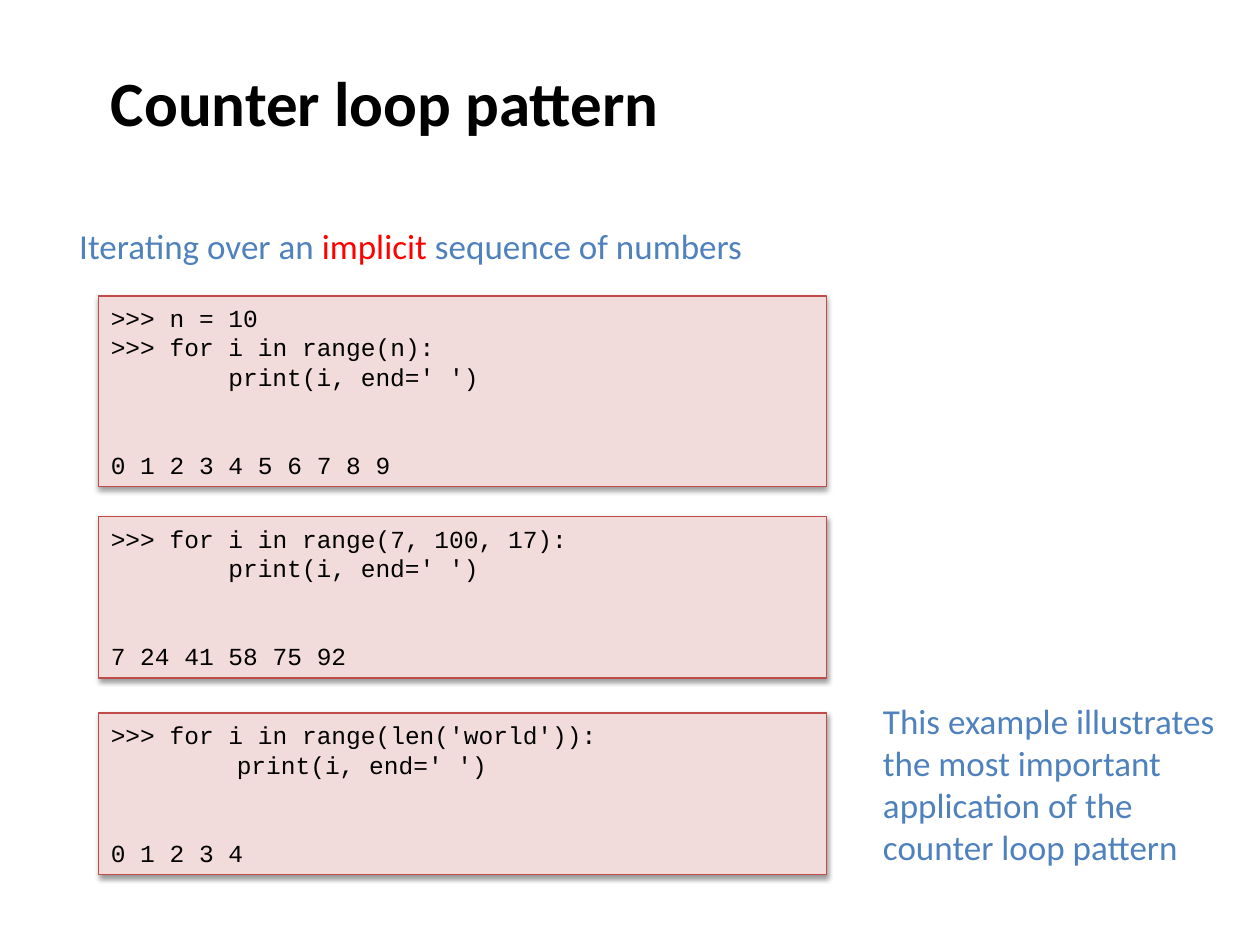
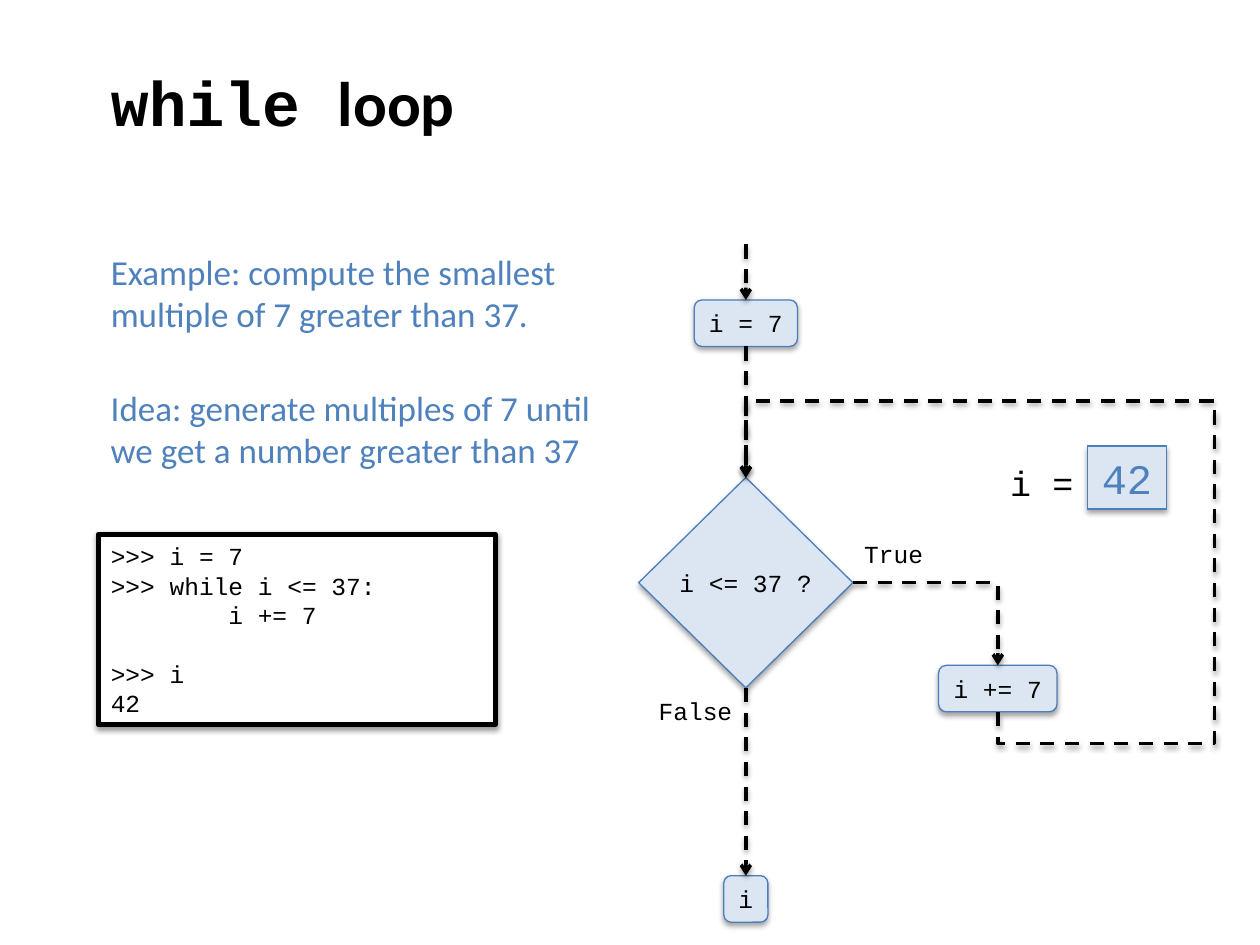
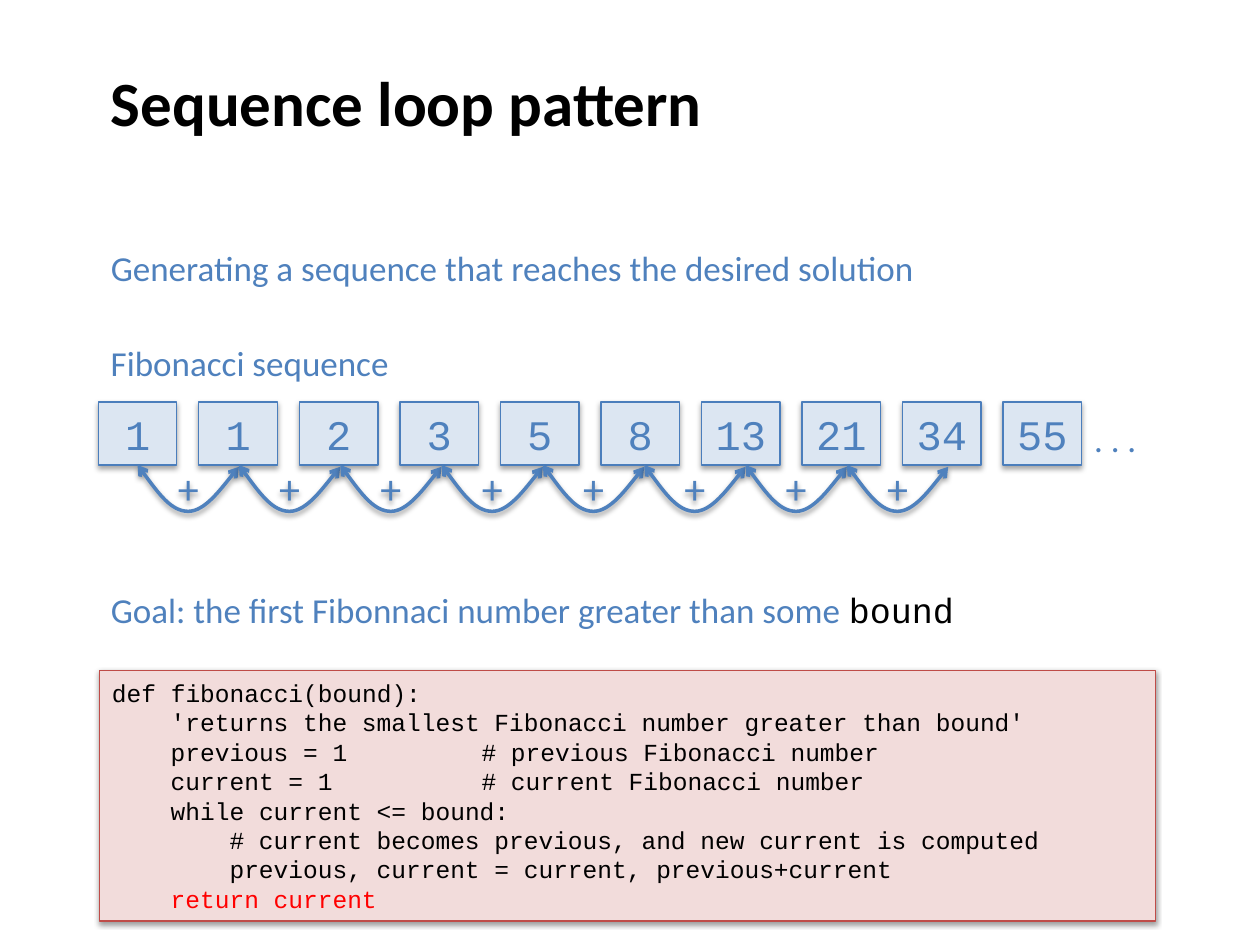
from pptx import Presentation
from pptx.dml.color import RGBColor as RGB
from pptx.enum.dml import MSO_LINE_DASH_STYLE as Dash
from pptx.enum.shapes import MSO_CONNECTOR as Link, MSO_SHAPE as Kind
from pptx.enum.text import MSO_ANCHOR as Anchor, MSO_AUTO_SIZE as Fit, PP_ALIGN as Align
from pptx.oxml.ns import qn
from pptx.util import Pt
from lxml.etree import SubElement as Sub

HEX = {
    "black": "000000", "white": "FFFFFF", "red": "FF0000",
    "blue": "4F81BD", "edge": "4B7EBC", "pale": "DCE6F2",
    "rose": "F2DCDB", "brick": "BF4C48",
}
SANS, MONO = "Calibri", "Courier New"
LEFT = 56.2
LEAD = 16.8                          # height of a line of code
STEP = 33.6                          # four characters of code
TOP, BOT, RIGHT = 0, 2, 3            # connection sites


def tint(name):
    return RGB.from_string(HEX[name])


# Shared text and line styles

def say(para, parts, size, font=SANS, color="blue", bold=False):
    """Each part is a text, or a tuple of text, font and colour."""
    for part in parts:
        text, face, hue = (part, font, color) if isinstance(part, str) else part
        run = para.add_run()
        run.text = text
        run.font.size, run.font.name, run.font.bold = Pt(size), face, bold
        run.font.color.rgb = tint(hue)


def frame(shape, wrap=True):
    body = shape.text_frame
    body.auto_size = Fit.NONE
    body.word_wrap = wrap
    body.vertical_anchor = Anchor.MIDDLE
    return body


def shade(shape, dist=1.6, alpha=38):
    fx = Sub(shape._element.spPr, qn("a:effectLst"))
    drop = Sub(fx, qn("a:outerShdw"), blurRad=str(Pt(3.1)), dist=str(Pt(dist)),
               dir="5400000", rotWithShape="0")
    hue = Sub(drop, qn("a:srgbClr"), val=HEX["black"])
    Sub(hue, qn("a:alpha"), val=str(alpha * 1000))


def stroke(shape, color, dash=False, ends=("tailEnd",)):
    line = shape.line
    line.color.rgb, line.width = tint(color), Pt(2)
    if dash:
        line.dash_style = Dash.DASH
    for end in ends:
        Sub(shape._element.spPr.find(qn("a:ln")), qn("a:" + end), type="arrow")
    shade(shape)


def block(slide, kind, box, fill, edge, width=0.75, **drop):
    shape = slide.shapes.add_shape(kind, *map(Pt, box))
    shape.fill.solid()
    shape.fill.fore_color.rgb = tint(fill)
    shape.line.color.rgb, shape.line.width = tint(edge), Pt(width)
    shade(shape, **drop)
    return shape


# Parts used on several slides

def start(deck, *parts):
    slide = deck.slides.add_slide(deck.slide_layouts[5])
    head = slide.shapes.title
    head.left, head.top, head.width, head.height = map(Pt, (LEFT, 0, 612, 115.9))
    para = frame(head).paragraphs[0]
    para.alignment = Align.LEFT
    say(para, parts, 36, color="black", bold=True)
    return slide


def note(slide, box, *parts, wrap=True, **style):
    area = slide.shapes.add_textbox(*map(Pt, box))
    say(frame(area, wrap).paragraphs[0], parts, **{"size": 20, **style})


def code(slide, box, lines, stops=(2 * STEP,), fill="rose", edge="brick",
         width=0.75, hot=None):
    """Tabs indent the code; an empty line becomes space before the next."""
    body = frame(block(slide, Kind.RECTANGLE, box, fill, edge, width))
    para, gap = body.paragraphs[0], 0
    for num, line in enumerate(lines):
        if not line:
            gap += LEAD
            continue
        if num:
            para = body.add_paragraph()
        para.alignment = Align.LEFT
        para.line_spacing, para.space_before = Pt(LEAD), Pt(gap)
        tabs = Sub(para._p.get_or_add_pPr(), qn("a:tabLst"))
        for stop in stops:
            Sub(tabs, qn("a:tab"), pos=str(Pt(stop)), algn="l")
        say(para, [line], 14, MONO, "red" if line == hot else "black")
        gap = 0


def node(slide, kind, box, text, size=14, color="black"):
    shape = block(slide, kind, box, "pale", "edge", dist=1.8, alpha=35)
    para = frame(shape, False).paragraphs[0]
    para.alignment = Align.CENTER
    say(para, [text], size, MONO, color)
    return shape


def cell(slide, box, text):
    node(slide, Kind.RECTANGLE, box, text, 24, "blue")


# Flowchart of the while loop

def flow(slide, box):
    left, top = box[:2]
    mid, side, far = 61.2, 205.2, 329

    def at(x, y, *size):
        return (left + x, top + y, *size)

    def step(x, y, wide, text, kind=Kind.FLOWCHART_ALTERNATE_PROCESS, high=26.6):
        return node(slide, kind, at(x - wide / 2, y, wide, high), text)

    def link(kind, one, two, site=BOT):
        line = slide.shapes.add_connector(kind, *map(Pt, at(mid, 0) + at(mid, 31.7)))
        if one:
            line.begin_connect(one, site)
        line.end_connect(two, TOP)
        stroke(line, "black", dash=True)
        return line

    # Steps
    init = step(mid, 31.7, 59, "i = 7")
    test = step(mid, 133.2, 122.4, "i <= 37 ?", Kind.FLOWCHART_DECISION, 120.2)
    add = step(side, 240.5, 67.7, "i += 7")
    last = step(mid, 360.7, 25.2, "i")

    # Arrows between the steps
    for one, two in ((None, init), (init, test), (test, last)):
        link(Link.STRAIGHT, one, two)
    bend = link(Link.ELBOW, test, add, RIGHT)
    bend._element.spPr.find(qn("a:prstGeom")).set("prst", "bentConnector2")

    # Way back to the test
    route = [(side, 267.1), (side, 285.1), (far, 285.1), (far, 89.3),
             (mid, 89.3), (mid, 133.2)]
    spots = [tuple(map(Pt, at(*spot))) for spot in route]
    path = slide.shapes.build_freeform(*spots[0])
    path.add_line_segments(spots[1:], close=False)
    back = path.convert_to_shape()
    back.fill.background()
    stroke(back, "black", dash=True)

    # Branch labels and the variable
    for x, y, text in ((4.3, 254.2, "False"), (121.7, 164.2, "True")):
        note(slide, at(x, y, 56.9, 24.5), text, wrap=False, size=14,
             font=MONO, color="black")
    note(slide, at(side, 120.2, 51.1, 31.7), "i =", wrap=False,
         font=MONO, color="black")
    cell(slide, at(256.3, 115.2, 45.4, 36), "42")


# Number row with sums

def arc(slide, x, y, wide, high):
    """A sagging curve with two arrowheads and a plus sign."""
    end = high * 0.04
    path = slide.shapes.build_freeform(Pt(x), Pt(y))
    path.add_line_segments([(Pt(x + wide / 2), Pt(y + high)),
                            (Pt(x + wide), Pt(y + end))], close=False)
    curve = path.convert_to_shape()
    bends = [[(wide / 6, high / 2), (wide / 3, high)],
             [(wide * 2 / 3, high), (wide, end)]]
    for seg, pair in zip(list(curve._element.iter(qn("a:lnTo"))), bends):
        seg.tag = qn("a:cubicBezTo")
        goal = seg[0]
        for px, py in pair:
            spot = Sub(seg, qn("a:pt"), x=str(Pt(px)), y=str(Pt(py)))
            goal.addprevious(spot)
    curve.fill.background()
    stroke(curve, "blue", ends=("headEnd", "tailEnd"))
    para = frame(curve, False).paragraphs[0]
    para.alignment = Align.CENTER
    say(para, ["+"], 24)


def series(slide, box, nums):
    left, top, wide, high = box
    size, span = 44.9, 57.9
    pitch = (wide - size) / (len(nums) - 1)
    for num, value in enumerate(nums):
        cell(slide, (left + num * pitch, top, size, high), str(value))
    for num in range(len(nums) - 2):
        arc(slide, left + 22.4 + num * span, top + high, span, 26.5)
    note(slide, (left + wide, top + 5, 38.9, 31.7), ". . .", wrap=False)


# Slides

def counter(deck):
    slide = start(deck, "Counter loop pattern")
    note(slide, (38.2, 124.6, 643, 31.7), "Iterating over an ",
         ("implicit ", SANS, "red"), "sequence of numbers")
    show = "\tprint(i, end=' ')"
    demos = [
        (169.2, 108.7, 67.2, [">>> n = 10", ">>> for i in range(n):"],
         "0 1 2 3 4 5 6 7 8 9"),
        (295.2, 92.2, 67.2, [">>> for i in range(7, 100, 17):"], "7 24 41 58 75 92"),
        (407.5, 92.2, 72, [">>> for i in range(len('world')):"], "0 1 2 3 4"),
    ]
    for top, high, stop, head, out in demos:
        code(slide, (LEFT, top, 416.2, high), [*head, show, "", "", out], (stop,))
    note(slide, (497.5, 395.3, 208.8, 104.4),
         "This example illustrates the most important application of the "
         "counter loop pattern")


def loop(deck):
    slide = start(deck, ("while ", MONO, "black"), "loop")
    note(slide, (LEFT, 139.7, 311, 55.4),
         "Example: compute the smallest multiple of 7 greater than 37.")
    note(slide, (LEFT, 217.4, 309.6, 55.4),
         "Idea: generate multiples of 7 until we get a number greater than 37")
    code(slide, (LEFT, 305.3, 226.8, 108.7),
         [">>> i = 7", ">>> while i <= 37:", "\ti += 7", "", ">>> i", "42"],
         fill="white", edge="black", width=3)
    flow(slide, (365, 139.7, 329, 387.3))


def growth(deck):
    slide = start(deck, "Sequence loop pattern")
    note(slide, (LEFT, 136.8, 478, 31.7),
         "Generating a sequence that reaches the desired solution")
    note(slide, (LEFT, 191.5, 175, 31.7), "Fibonacci sequence")
    series(slide, (LEFT, 229.7, 561.9, 36), [1, 1, 2, 3, 5, 8, 13, 21, 34, 55])
    note(slide, (LEFT, 332.6, 512.6, 31.7),
         "Goal: the first Fibonnaci number greater than some ",
         ("bound", MONO, "black"))
    final = "\treturn current"
    code(slide, (56.9, 383, 603.4, 143.3), [
        "def fibonacci(bound):",
        "\t'returns the smallest Fibonacci number greater than bound'",
        "\tprevious = 1\t# previous Fibonacci number",
        "\tcurrent = 1\t# current Fibonacci number",
        "\twhile current <= bound:",
        "\t\t# current becomes previous, and new current is computed",
        "\t\tprevious, current = current, previous+current",
        final,
    ], (STEP, 2 * STEP, 211.2), hot=final)


def main():
    deck = Presentation()
    deck.slide_width, deck.slide_height = Pt(720), Pt(540)
    for make in (counter, loop, growth):
        make(deck)
    deck.save("out.pptx")


if __name__ == "__main__":
    main()
